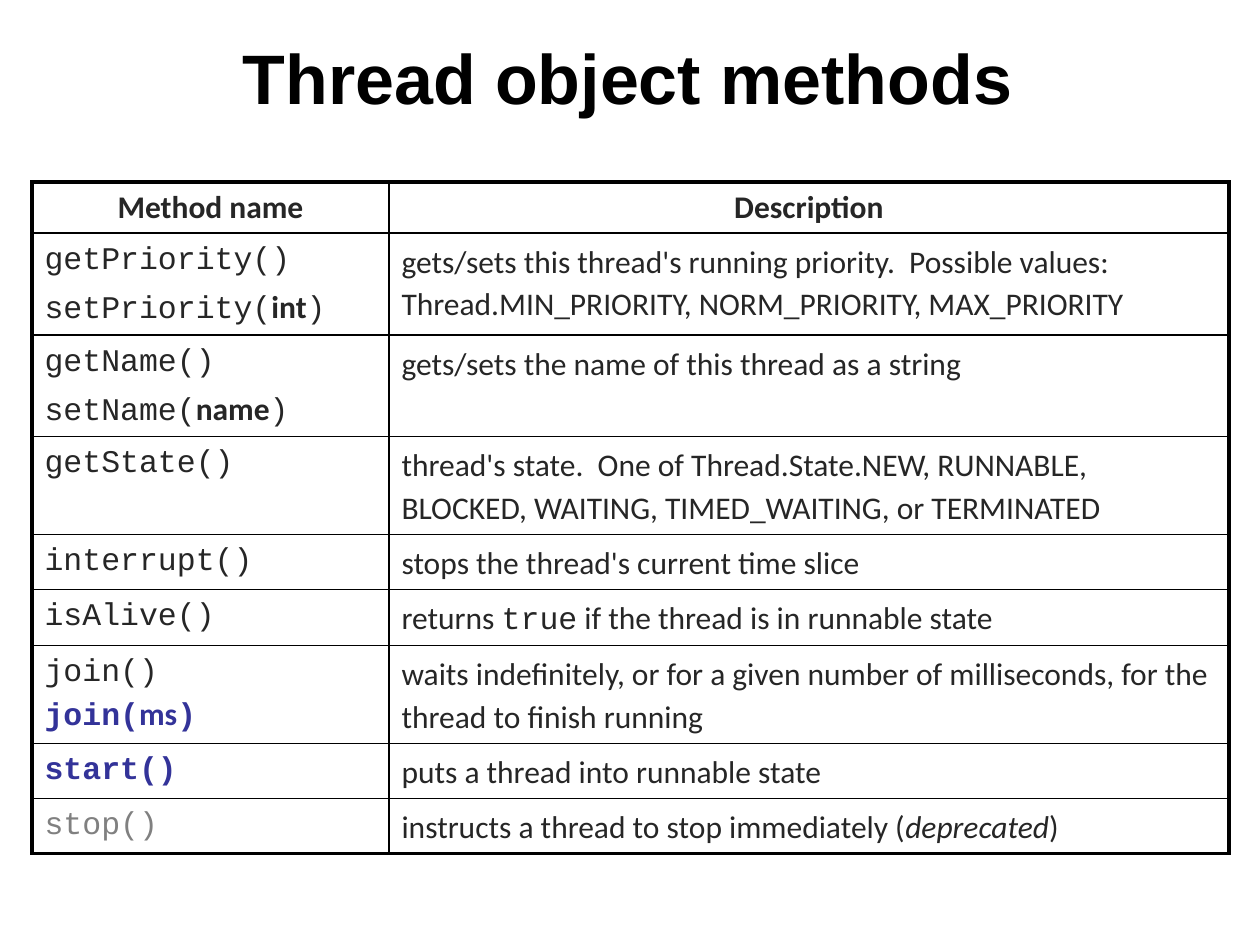
"""Builds the slide that lists the methods of a thread object."""
from dataclasses import dataclass

from lxml.etree import SubElement
from pptx import Presentation
from pptx.dml.color import RGBColor as Rgb
from pptx.enum.text import MSO_ANCHOR as Anchor, PP_ALIGN as Align
from pptx.oxml.ns import qn
from pptx.util import Emu, Pt

PX_PER_INCH = 126


@dataclass(frozen=True)
class Theme:
    heading: str = "Arial"
    body: str = "Calibri"
    code: str = "Courier New"
    black: str = "000000"
    ink: str = "262626"
    accent: str = "333399"
    muted: str = "808080"
    title_size: float = 40
    body_size: float = 18
    outer_line: float = 2.25
    inner_line: float = 1
    paragraph_gap: float = 3.6
    line_spacing: float = 1.1


THEME = Theme()
CODE = {"font": THEME.code}
BOLD = {"bold": True}
ACCENT = {"color": THEME.accent, "bold": True}
ACCENT_CODE = CODE | ACCENT
MUTED_CODE = CODE | {"color": THEME.muted}

COLUMN_WIDTHS = [357, 840]
ROW_HEIGHTS = [51, 102, 101, 98, 54, 56, 98, 55, 55]
HEADERS = ["Method name", "Description"]
METHODS = [
    ([[("getPriority()", CODE)],
      [("setPriority(", CODE), ("int", BOLD), (")", CODE)]],
     [("gets/sets this thread's running priority.  Possible values: "
       "Thread.MIN_PRIORITY, NORM_PRIORITY, MAX_PRIORITY", {})]),
    ([[("getName()", CODE)],
      [("setName(", CODE), ("name", BOLD), (")", CODE)]],
     [("gets/sets the name of this thread as a string", {})]),
    ([[("getState()", CODE)]],
     [("thread's state.  One of Thread.State.NEW, RUNNABLE, "
       "BLOCKED, WAITING, TIMED_WAITING, or TERMINATED", {})]),
    ([[("interrupt()", CODE)]],
     [("stops the thread's current time slice", {})]),
    ([[("isAlive()", CODE)]],
     [("returns ", {}), ("true", CODE), (" if the thread is in runnable state", {})]),
    ([[("join()\n", CODE), ("join(", ACCENT_CODE), ("ms", ACCENT), (")", ACCENT_CODE)]],
     [("waits indefinitely, or for a given number of milliseconds, "
       "for the thread to finish running", {})]),
    ([[("start()", ACCENT_CODE)]],
     [("puts a thread into runnable state", {})]),
    ([[("stop()", MUTED_CODE)]],
     [("instructs a thread to stop immediately (", {}),
      ("deprecated", {"italic": True}), (")", {})]),
]


def px(length):
    """Turn whole pixels into EMU."""
    return Emu(round(length * 914400 / PX_PER_INCH))


def add_text(paragraph, text, *, font=THEME.body, size=THEME.body_size,
             color=THEME.ink, bold=False, italic=False):
    """Add text to a paragraph, with a line break at each newline."""
    for index, line in enumerate(text.split("\n")):
        if index:
            paragraph.add_line_break()
        if line:
            run = paragraph.add_run()
            run.text = line
            run.font.name = font
            run.font.size = Pt(size)
            run.font.color.rgb = Rgb.from_string(color)
            run.font.bold = bold
            run.font.italic = italic


def fill_cell(cell, paragraphs, align=Align.LEFT, spacing=THEME.line_spacing):
    """Write paragraphs of formatted runs into a cell."""
    frame = cell.text_frame
    for index, runs in enumerate(paragraphs):
        paragraph = frame.add_paragraph() if index else frame.paragraphs[0]
        paragraph.alignment = align
        paragraph.line_spacing = spacing
        paragraph.space_before = Pt(THEME.paragraph_gap if index else 0)
        for text, style in runs:
            add_text(paragraph, text, **style)


def draw_borders(table):
    """Rule the grid thinly, with a heavier line around the table."""
    last_row, last_column = len(table.rows) - 1, len(table.columns) - 1
    for row_index, row in enumerate(table.rows):
        for column_index, cell in enumerate(row.cells):
            outer_edges = {
                "L": column_index == 0,
                "R": column_index == last_column,
                "T": row_index == 0,
                "B": row_index == last_row,
            }
            properties = cell._tc.get_or_add_tcPr()
            for side, is_outer in outer_edges.items():
                width = THEME.outer_line if is_outer else THEME.inner_line
                border = SubElement(properties, qn(f"a:ln{side}"), w=str(Pt(width)))
                paint = SubElement(border, qn("a:solidFill"))
                SubElement(paint, qn("a:srgbClr"), val=THEME.black)
            cell.fill.background()


def add_title(slide, text):
    """Place and format the slide title."""
    title = slide.shapes.title
    title.left, title.top, title.width, title.height = map(px, (24, 14, 1207, 125))
    title.text_frame.vertical_anchor = Anchor.MIDDLE
    heading = title.text_frame.paragraphs[0]
    heading.alignment = Align.CENTER
    add_text(heading, text, font=THEME.heading, size=THEME.title_size,
             color=THEME.black, bold=True)


def add_method_table(slide):
    """Add the table of method names and descriptions."""
    table = slide.shapes.add_table(
        len(ROW_HEIGHTS), len(COLUMN_WIDTHS), px(32), px(182),
        px(sum(COLUMN_WIDTHS)), px(sum(ROW_HEIGHTS))).table
    table.first_row = table.horz_banding = False
    for column, width in zip(table.columns, COLUMN_WIDTHS):
        column.width = px(width)
    for row, height in zip(table.rows, ROW_HEIGHTS):
        row.height = px(height)
    for column_index, header in enumerate(HEADERS):
        fill_cell(table.cell(0, column_index), [[(header, BOLD)]], Align.CENTER, 1.0)
    for row_index, (names, description) in enumerate(METHODS, start=1):
        fill_cell(table.cell(row_index, 0), names)
        fill_cell(table.cell(row_index, 1), [description])
    draw_borders(table)


def main():
    """Build and save the slide."""
    deck = Presentation()
    deck.slide_width, deck.slide_height = px(1260), px(945)
    slide = deck.slides.add_slide(deck.slide_layouts.get_by_name("Title Only"))
    add_title(slide, "Thread object methods")
    add_method_table(slide)
    deck.save("out.pptx")


if __name__ == "__main__":
    main()
